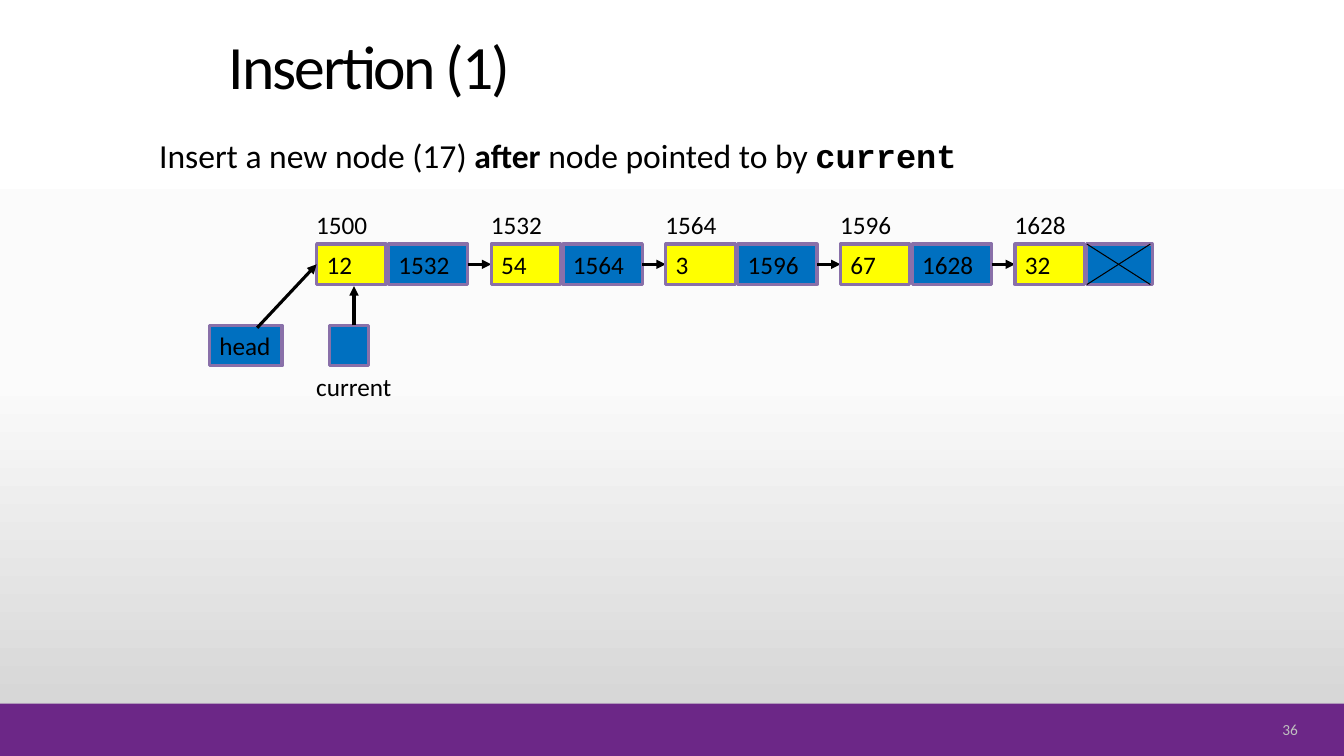
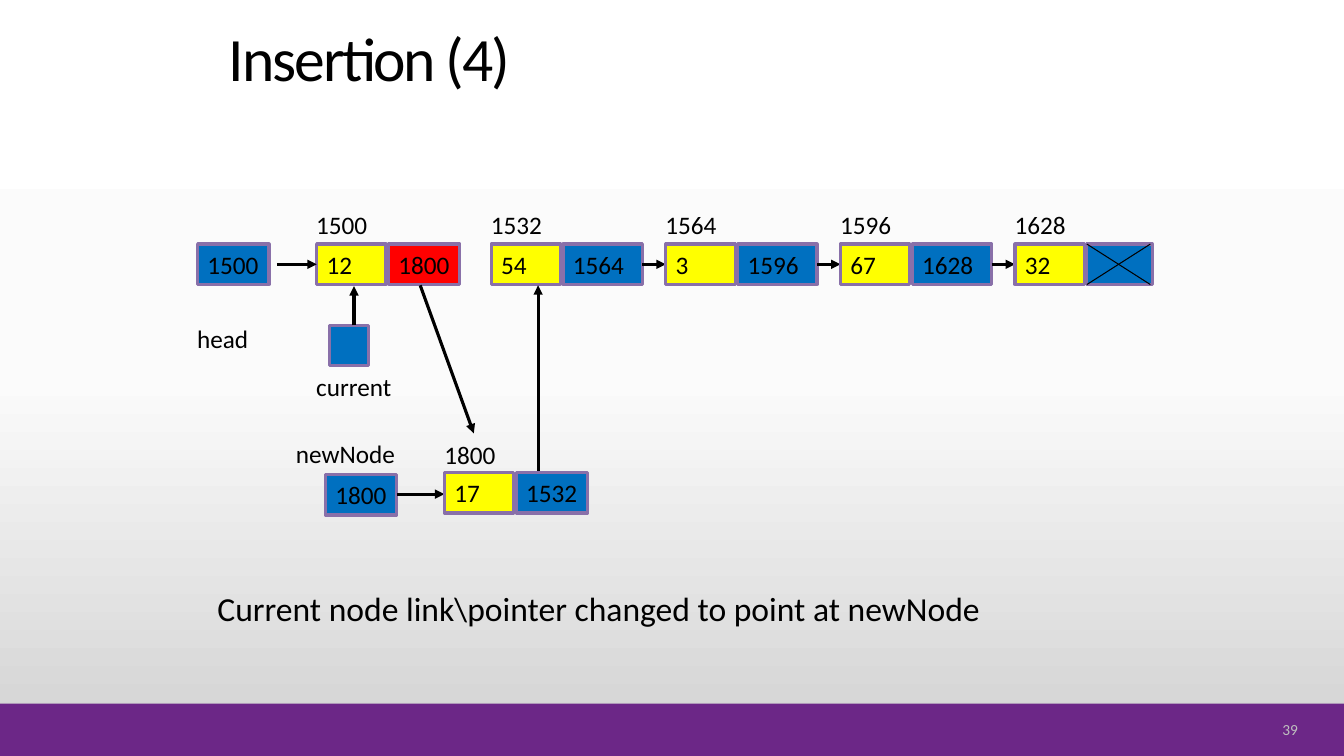
"""Build two slides that show how a node is inserted into a linked list."""
from copy import deepcopy

from lxml.etree import SubElement
from pptx import Presentation
from pptx.dml.color import RGBColor
from pptx.enum.shapes import MSO_CONNECTOR, MSO_SHAPE
from pptx.enum.text import MSO_ANCHOR, MSO_AUTO_SIZE, PP_ALIGN
from pptx.oxml.ns import qn
from pptx.util import Cm, Pt

BLACK, BLUE, YELLOW, RED = "000000", "0070C0", "FFFF00", "FF0000"
PURPLE, OUTLINE, GREY = "6C2787", "8970A9", "BFBFBF"
FONT = "Calibri"

NODE_LEFT, NODE_TOP, NODE_STEP = 7.98, 6.15, 4.4
BOX_HEIGHT, DATA_WIDTH, LINK_OFFSET = 1.02, 1.75, 1.81
LINK_WIDTH, SHORT_LINK_WIDTH, LAST_LINK_WIDTH = 2, 1.8, 1.65
LABEL_SHIFT, LABEL_TOP, LABEL_WIDTH = -0.26, 5.16, 1.8
NODE_MIDDLE = NODE_TOP + BOX_HEIGHT / 2
NODE_BOTTOM = NODE_TOP + BOX_HEIGHT


def add_box(slide, text, left, top, width, fill=None, size=18, color=BLACK, height=BOX_HEIGHT):
    """Add a text box, or an outlined rectangle when a fill is given."""
    place = Cm(left), Cm(top), Cm(width), Cm(height)
    if fill:
        shape = slide.shapes.add_shape(MSO_SHAPE.RECTANGLE, *place)
        shape.shadow.inherit = False
        shape.fill.solid()
        shape.fill.fore_color.rgb = RGBColor.from_string(fill)
        shape.line.color.rgb = RGBColor.from_string(OUTLINE)
        shape.line.width = Pt(2.25)
    else:
        shape = slide.shapes.add_textbox(*place)
    frame = shape.text_frame
    frame.word_wrap = True
    frame.margin_right = 0
    frame.vertical_anchor = MSO_ANCHOR.TOP
    frame.text = text
    paragraph = frame.paragraphs[0]
    paragraph.alignment = PP_ALIGN.LEFT
    paragraph.font.name = FONT
    paragraph.font.size = Pt(size)
    paragraph.font.color.rgb = RGBColor.from_string(color)
    return shape


def add_line(slide, start, end, width=2.25, arrow=True):
    """Add a straight black line, with an arrowhead at its end by default."""
    points = [Cm(length) for length in (*start, *end)]
    connector = slide.shapes.add_connector(MSO_CONNECTOR.STRAIGHT, *points)
    connector.line.color.rgb = RGBColor.from_string(BLACK)
    connector.line.width = Pt(width)
    properties = connector.element.spPr
    if arrow:
        SubElement(properties.find(qn("a:ln")), qn("a:tailEnd"), type="triangle")
    SubElement(properties, qn("a:effectLst"))


presentation = Presentation()
presentation.slide_width = Cm(33.87)
presentation.slide_height = Cm(19.05)
master = presentation.slide_master
layout = presentation.slide_layouts.get_by_name("Title Only")

background = master.background.fill
background.gradient()
background.gradient_angle = 270
stop_list = master.element.find(".//" + qn("a:gsLst"))
stop_list.append(deepcopy(stop_list[-1]))
stops = (0, "FFFFFF"), (0.5, "FBFBFB"), (1, "D1D1D1")
for stop, (position, color) in zip(background.gradient_stops, stops):
    stop.position = position
    stop.color.rgb = RGBColor.from_string(color)

title_style = master.element.find(".//" + qn("p:titleStyle"))
title_style.find(".//" + qn("a:defRPr")).set("spc", "-150")

nodes = [("1500", "12"), ("1532", "54"), ("1564", "3"), ("1596", "67"), ("1628", "32")]
steps = [
    ("Insertion (1)", 2.39, "36", "1532", BLUE, LINK_WIDTH),
    ("Insertion (4)", 2.18, "39", "1800", RED, SHORT_LINK_WIDTH),
]

for heading, title_height, number, first_link, first_fill, first_width in steps:
    slide = presentation.slides.add_slide(layout)
    title = slide.shapes.title
    title.left, title.top, title.width, title.height = Cm(5.51), Cm(0.33), Cm(20.96), Cm(title_height)
    title.text_frame.text = heading
    title.text_frame.auto_size = MSO_AUTO_SIZE.NONE
    title.text_frame.vertical_anchor = MSO_ANCHOR.BOTTOM
    paragraph = title.text_frame.paragraphs[0]
    paragraph.alignment = PP_ALIGN.LEFT
    paragraph.line_spacing = 0.9
    paragraph.font.name = FONT
    paragraph.font.size = Pt(44)
    paragraph.font.color.rgb = RGBColor.from_string(BLACK)

    for index, (address, value) in enumerate(nodes):
        left = NODE_LEFT + index * NODE_STEP
        link_left = left + LINK_OFFSET
        add_box(slide, address, left + LABEL_SHIFT, LABEL_TOP, LABEL_WIDTH)
        add_box(slide, value, left, NODE_TOP, DATA_WIDTH, YELLOW)
        if index == len(nodes) - 1:
            add_box(slide, "", link_left, NODE_TOP, LAST_LINK_WIDTH, BLUE)
            for top, bottom in (NODE_TOP, NODE_BOTTOM), (NODE_BOTTOM, NODE_TOP):
                add_line(slide, (link_left, top), (link_left + 1.6, bottom), 0.75, False)
        elif index == 0:
            add_box(slide, first_link, link_left, NODE_TOP, first_width, first_fill)
        else:
            add_box(slide, nodes[index + 1][0], link_left, NODE_TOP, LINK_WIDTH, BLUE)
        if index < len(nodes) - 1 and (index or first_link == nodes[1][0]):
            add_line(slide, (link_left + LINK_WIDTH, NODE_MIDDLE), (left + NODE_STEP, NODE_MIDDLE))

    add_box(slide, "", 8.31, 8.2, 0.97, BLUE)
    add_line(slide, (8.92, 8.2), (8.92, 7.21))
    add_box(slide, "current", 7.72, 9.22, 2.49)

    page_number = add_box(slide, number, 31.06, 18.08, 1.65, size=11, color=GREY, height=0.58)
    page_number.text_frame.vertical_anchor = MSO_ANCHOR.MIDDLE
    page_number.text_frame.paragraphs[0].alignment = PP_ALIGN.RIGHT

before, after = presentation.slides

band = before.shapes.add_shape(MSO_SHAPE.RECTANGLE, 0, Cm(17.73), presentation.slide_width, Cm(1.32))
band.shadow.inherit = False
band.fill.solid()
band.fill.fore_color.rgb = RGBColor.from_string(PURPLE)
band.line.fill.background()
master.element.cSld.spTree.insert(2, band.element)

add_box(before, "head", 5.28, 8.2, 1.83, BLUE)
add_line(before, (6.48, 8.26), (NODE_LEFT, NODE_MIDDLE))
caption = add_box(before, "", 3.76, 3.28, 22.02, size=24, height=1.27)
phrases = [
    ("Insert a new node (17) ", False, FONT),
    ("after", True, FONT),
    (" node pointed to by ", False, FONT),
    ("current", True, "Courier New"),
]
for text, bold, font_name in phrases:
    run = caption.text_frame.paragraphs[0].add_run()
    run.text = text
    run.font.bold = bold
    run.font.name = font_name

add_box(after, "1500", 4.98, NODE_TOP, SHORT_LINK_WIDTH, BLUE)
add_box(after, "head", 4.72, 8.03, 1.83)
add_line(after, (6.98, NODE_MIDDLE), (NODE_LEFT, NODE_MIDDLE))
add_line(after, (13.56, 11.94), (13.56, 7.19))
add_line(after, (10.59, 7.19), (11.94, 10.92))
add_box(after, "newNode", 7.21, 10.92, 3.05)
add_box(after, "1800", 8.2, 11.96, SHORT_LINK_WIDTH, BLUE)
add_line(after, (10, 12.45), (11.2, 12.45))
add_box(after, "1800", 10.95, 10.95, LABEL_WIDTH)
add_box(after, "17", 11.2, 11.91, DATA_WIDTH, YELLOW)
add_box(after, "1532", 11.2 + LINK_OFFSET, 11.91, SHORT_LINK_WIDTH, BLUE)
add_box(after, "Current node link\\pointer changed to point at newNode", 5.23, 14.68, 20.04, size=24, height=1.27)

presentation.save("out.pptx")
